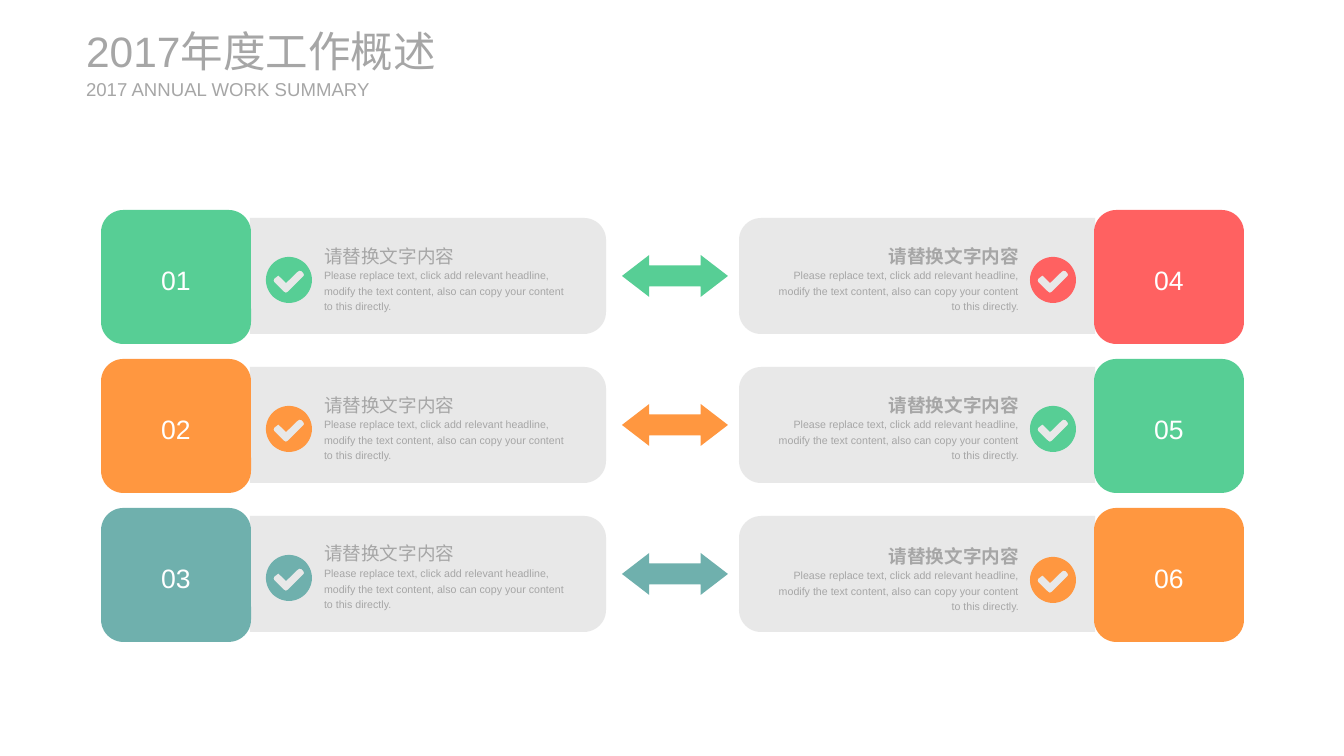
from math import cos, sin, tau

from lxml import etree
from pptx import Presentation
from pptx.dml.color import RGBColor
from pptx.enum.shapes import MSO_SHAPE
from pptx.enum.text import MSO_ANCHOR, MSO_AUTO_SIZE, PP_ALIGN
from pptx.oxml.ns import qn
from pptx.util import Pt

PX = 9565
ARROW = MSO_SHAPE.LEFT_RIGHT_ARROW
BLOCK = MSO_SHAPE.ROUNDED_RECTANGLE
PANEL = MSO_SHAPE.ROUND_2_SAME_RECTANGLE
MIDDLE, TOP = MSO_ANCHOR.MIDDLE, MSO_ANCHOR.TOP
LEFT, CENTER, RIGHT = PP_ALIGN.LEFT, PP_ALIGN.CENTER, PP_ALIGN.RIGHT
FIXED = MSO_AUTO_SIZE.NONE

GREEN, ORANGE, TEAL, RED = "57CE95", "FF9740", "6FB0AD", "FF6161"
GREY, PALE, WHITE = "A6A6A6", "E6E6E6", "FFFFFF"
HEAD = "请替换文字内容"
BODY = ("Please replace text, click add relevant headline, modify the text "
        "content, also can copy your content to this directly.")
PITCH = 149
SIDES = [
    (LEFT, 101, 250, 90, 266, 324, False,
     [("01", GREEN, 0), ("02", ORANGE, 0), ("03", TEAL, 0)]),
    (RIGHT, 1094, 739, 270, 1030, 772, True,
     [("04", RED, 0), ("05", GREEN, 0), ("06", ORANGE, 2)]),
]
RING = [(230 + 230 * cos(tau * i / 60), 230 + 230 * sin(tau * i / 60))
        for i in range(60)]
TICK = [(375, 163), (358, 143), (337, 137), (317, 147), (201, 260),
        (135, 195), (124, 185), (115, 192), (80, 220), (77, 240), (82, 251),
        (182, 350), (200, 358), (217, 350), (375, 193), (382, 180)]

deck = Presentation()
deck.slide_width, deck.slide_height = 1344 * PX, 756 * PX
slide = deck.slides.add_slide(deck.slide_layouts[5])
shapes = slide.shapes


def paint(shape, color):
    shape.shadow.inherit = False
    shape.fill.solid()
    shape.fill.fore_color.rgb = RGBColor.from_string(color)
    shape.line.fill.background()


def write(shape, lines, align, anchor, space=1.0):
    frame = shape.text_frame
    frame.word_wrap = True
    frame.auto_size = FIXED
    frame.vertical_anchor = anchor
    frame.margin_left = frame.margin_right = 0
    frame.margin_top = frame.margin_bottom = 0
    for i, (text, size, color, bold) in enumerate(lines):
        para = frame.add_paragraph() if i else frame.paragraphs[0]
        para.alignment = align
        para.line_spacing = space
        run = para.add_run()
        run.text = text
        run.font.name = "Arial"
        run.font.size = Pt(size)
        run.font.bold = bold
        run.font.color.rgb = RGBColor.from_string(color)


title = shapes.title
title.left, title.top = 86 * PX, 25 * PX
title.width, title.height = 413 * PX, 52 * PX
write(title, [("2017年度工作概述", 32, GREY, False)], LEFT, MIDDLE)
sub = shapes.add_textbox(86 * PX, 78 * PX, 294 * PX, 23 * PX)
write(sub, [("2017 ANNUAL WORK SUMMARY", 14, GREY, False)], LEFT, MIDDLE)

for align, block_x, panel_x, turn, icon_x, text_x, bold, items in SIDES:
    for row, (number, color, dip) in enumerate(items):
        shift = row * PITCH

        panel = shapes.add_shape(PANEL, (panel_x + 120) * PX,
                                 (98 + shift) * PX, 116 * PX, 356 * PX)
        panel.rotation = turn
        panel.adjustments[0] = 0.19
        paint(panel, PALE)
        tint = panel.fill._xPr.find(".//" + qn("a:srgbClr"))
        etree.SubElement(tint, qn("a:alpha"), val="90000")

        pen = shapes.build_freeform(*RING[0], scale=PX / 10)
        pen.add_line_segments(RING[1:])
        pen.move_to(*TICK[0])
        pen.add_line_segments(TICK[1:])
        icon = pen.convert_to_shape(icon_x * PX, (257 + shift + dip) * PX)
        paint(icon, color)

        note = shapes.add_textbox(text_x * PX, (240 + shift + dip) * PX,
                                  247 * PX, 74 * PX)
        write(note, [(HEAD, 14, GREY, bold), (BODY, 8, GREY, False)],
              align, TOP, 1.2)

        block = shapes.add_shape(BLOCK, block_x * PX, (210 + shift) * PX,
                                 150 * PX, 134 * PX)
        paint(block, color)
        write(block, [(number, 20, WHITE, False)], CENTER, MIDDLE, 1.2)

        if align == LEFT:
            arrow = shapes.add_shape(ARROW, 622 * PX, (255 + shift) * PX,
                                     106 * PX, 42 * PX)
            arrow.adjustments[0] = 0.5
            arrow.adjustments[1] = 0.65
            paint(arrow, color)

deck.save("out.pptx")
